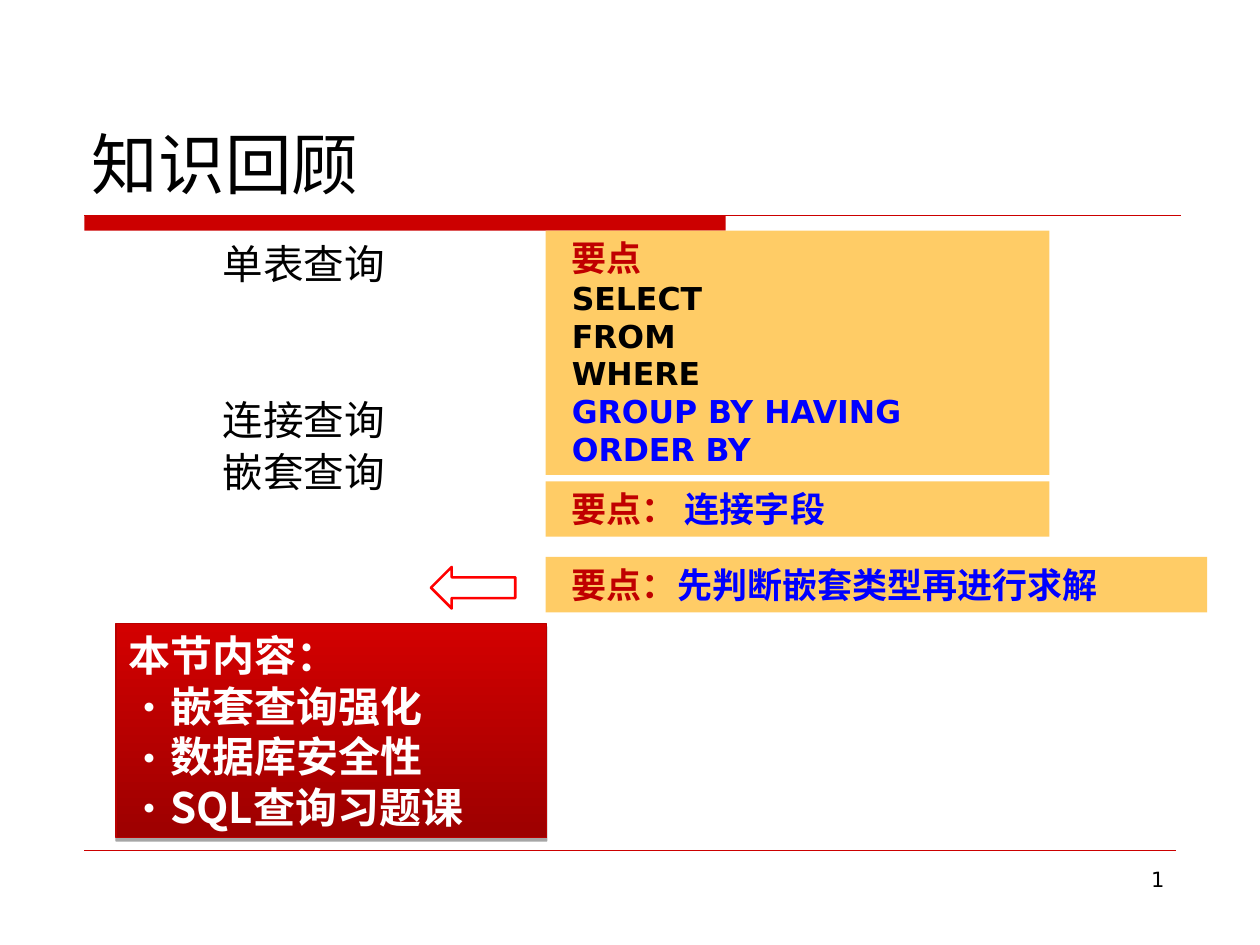
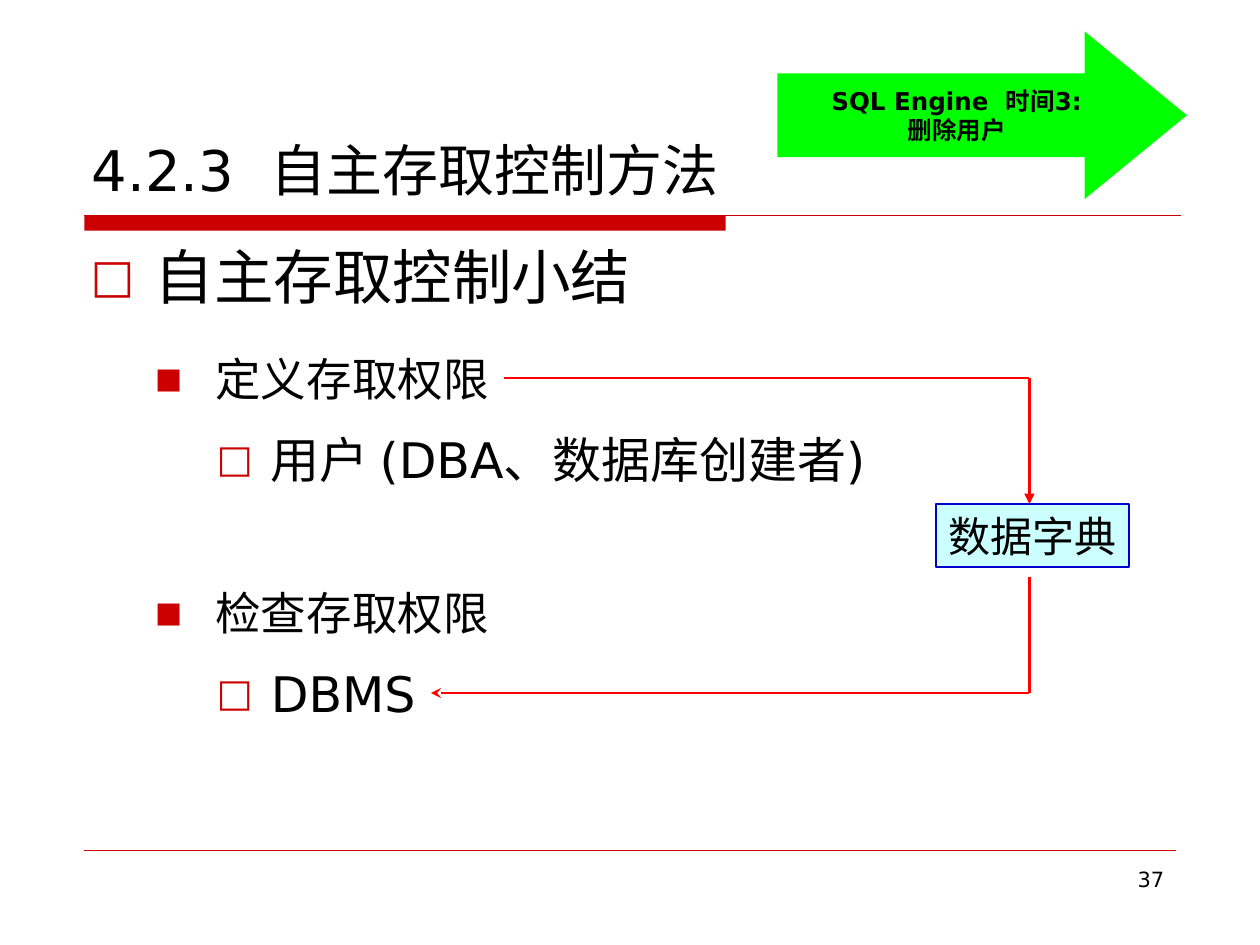
from dataclasses import dataclass
from typing import Optional

from lxml.etree import SubElement
from pptx import Presentation
from pptx.dml.color import RGBColor
from pptx.enum.shapes import MSO_CONNECTOR, MSO_SHAPE
from pptx.enum.text import MSO_ANCHOR, MSO_AUTO_SIZE, PP_ALIGN
from pptx.oxml.ns import qn
from pptx.util import Inches, Pt

SANS, HAN = "DejaVu Sans", "Noto Sans CJK SC"
RED, DARK, PURE = "CC0000", "C00000", "FF0000"
BLACK, WHITE, BLUE, SAND = "000000", "FFFFFF", "0000FF", "FFCC66"


@dataclass
class Bullet:
    char: str
    color: str
    size: int = 100
    font: str = SANS


@dataclass
class Para:
    text: str
    size: float
    font: str = SANS
    color: str = BLACK
    bold: bool = False
    extra: str = ""
    align: PP_ALIGN = PP_ALIGN.LEFT
    left: float = 0
    first: float = 0
    lines: float = 1
    before: float = 0
    level: int = 0
    bullet: Optional[Bullet] = None


@dataclass
class Box:
    left: float
    top: float
    width: float
    height: float

    def place(self) -> tuple:
        return tuple(map(Inches, (self.left, self.top, self.width, self.height)))


def rgb(color: str) -> RGBColor:
    return RGBColor.from_string(color)


def add_bullet(props, bullet: Optional[Bullet]) -> None:
    if bullet is None:
        SubElement(props, qn("a:buNone"))
        return
    tint = SubElement(props, qn("a:buClr"))
    SubElement(tint, qn("a:srgbClr"), val=bullet.color)
    SubElement(props, qn("a:buSzPct"), val=str(bullet.size * 1000))
    SubElement(props, qn("a:buFont"), typeface=bullet.font)
    SubElement(props, qn("a:buChar"), char=bullet.char)


def write(shape, paras: list[Para], anchor=MSO_ANCHOR.TOP, wrap: bool = True) -> None:
    frame = shape.text_frame
    frame.auto_size = MSO_AUTO_SIZE.NONE
    frame.word_wrap = wrap
    frame.vertical_anchor = anchor
    for index, item in enumerate(paras):
        para = frame.add_paragraph() if index else frame.paragraphs[0]
        para.level = item.level
        para.alignment = item.align
        para.line_spacing = item.lines
        para.space_before = Pt(item.before)
        props = para._p.get_or_add_pPr()
        props.set("marL", str(Inches(item.left)))
        props.set("indent", str(Inches(item.first)))
        add_bullet(props, item.bullet)
        font = para.font
        font.size, font.name, font.bold = Pt(item.size), item.font, item.bold
        font.color.rgb = rgb(item.color)
        if item.font == HAN:
            SubElement(props.find(qn("a:defRPr")), qn("a:ea"), typeface=HAN)
        para.add_run().text = item.text
        if item.extra:
            run = para.add_run()
            run.text = item.extra
            run.font.color.rgb = rgb(BLUE)


def add_box(slide, kind, box: Box, fill: str = "", line: str = "", width: float = 1.5):
    shape = slide.shapes.add_shape(kind, *box.place())
    shape.shadow.inherit = False
    if fill:
        shape.fill.solid()
        shape.fill.fore_color.rgb = rgb(fill)
    else:
        shape.fill.background()
    if line:
        shape.line.color.rgb = rgb(line)
        shape.line.width = Pt(width)
    else:
        shape.line.fill.background()
    return shape


def add_line(slide, start: tuple, end: tuple, color: str, width: float, tip: str = "") -> None:
    line = slide.shapes.add_connector(MSO_CONNECTOR.STRAIGHT, *map(Inches, start + end))
    line.line.color.rgb = rgb(color)
    line.line.width = Pt(width)
    props = line._element.spPr
    if tip:
        SubElement(props.find(qn("a:ln")), qn("a:tailEnd"), type=tip)
    SubElement(props, qn("a:effectLst"))


def add_text(slide, box: Box, paras: list[Para]) -> None:
    write(slide.shapes.add_textbox(*box.place()), paras)


def move(shape, box: Box) -> None:
    shape.left, shape.top, shape.width, shape.height = box.place()


def start_slide(deck, layout: int, title: str, size: float, number: str):
    """Add a slide with its title, red band, foot rule and page number."""
    slide = deck.slides.add_slide(deck.slide_layouts[layout])
    add_box(slide, MSO_SHAPE.RECTANGLE, Box(0.67, 1.71, 5.09, 0.12), RED)
    add_line(slide, (0.67, 1.71), (9.37, 1.71), RED, 0.75)
    add_line(slide, (0.67, 6.75), (9.33, 6.75), RED, 0.25)
    move(slide.shapes.title, Box(0.63, 0.33, 8.75, 1.33))
    write(slide.shapes.title, [Para(title, size)], MSO_ANCHOR.BOTTOM)
    add_text(slide, Box(7.17, 6.83, 2.17, 0.52), [Para(number, 12, align=PP_ALIGN.RIGHT)])
    return slide


def key_para(text: str, size: float = 20, font: str = HAN, color: str = DARK, extra: str = "") -> Para:
    return Para(text, size, font, color, True, extra, left=0.63, first=-0.52)


def add_agenda(slide) -> None:
    card = add_box(slide, MSO_SHAPE.RECTANGLE, Box(0.92, 4.95, 3.42, 1.7), RED, "B90000", 0.75)
    card.fill.gradient()
    card.fill.gradient_angle = 90
    for stop, color in zip(card.fill.gradient_stops, ("9D0000", "D30000")):
        stop.color.rgb = rgb(color)
    effects = card._element.spPr.find(qn("a:effectLst"))
    shade = SubElement(effects, qn("a:outerShdw"), blurRad="0", dist=str(Pt(1.8)),
                       dir="5400000", rotWithShape="0")
    black = SubElement(shade, qn("a:srgbClr"), val=BLACK)
    SubElement(black, qn("a:alpha"), val="35000")
    dot = Bullet("•", WHITE, font=HAN)
    topics = ("嵌套查询强化", "数据库安全性", "SQL查询习题课")
    write(card, [Para("本节内容：", 24, HAN, WHITE, True)] + [
        Para(topic, 24, HAN, WHITE, True, left=0.24, first=-0.24, bullet=dot)
        for topic in topics])


def build_review(deck) -> None:
    slide = start_slide(deck, 5, "知识回顾", 38, "1")
    queries = (("单表查询", 0), ("连接查询", 67), ("嵌套查询", 7.5))
    add_text(slide, Box(1.67, 1.92, 2.13, 2.5), [
        Para(text, 23.2, HAN, align=PP_ALIGN.JUSTIFY, left=0.51, first=-0.51,
             lines=0.8, before=gap) for text, gap in queries])
    clauses = [key_para(word, 18, SANS, BLACK) for word in ("SELECT", "FROM", "WHERE")]
    clauses += [key_para(word, 18, SANS, BLUE) for word in ("GROUP BY HAVING", "ORDER BY")]
    notes = (
        (Box(4.33, 1.83, 4, 1.94), [key_para("要点"), *clauses]),
        (Box(4.33, 3.82, 4, 0.44), [key_para("要点： ", extra="连接字段")]),
        (Box(4.33, 4.42, 5.25, 0.44), [key_para("要点：", extra="先判断嵌套类型再进行求解")]),
    )
    for box, paras in notes:
        write(add_box(slide, MSO_SHAPE.RECTANGLE, box, SAND), paras)
    add_box(slide, MSO_SHAPE.LEFT_ARROW, Box(3.42, 4.5, 0.67, 0.33), line=PURE)
    add_agenda(slide)


def build_access(deck) -> None:
    slide = start_slide(deck, 1, "4.2.3  自主存取控制方法", 32, "37")
    body = slide.placeholders[1]
    move(body, Box(0.62, 1.92, 8.75, 4.08))
    hollow, solid = Bullet("□", RED, 78), Bullet("■", RED, 63)

    def topic(text: str, lines: float, before: float) -> Para:
        return Para(text, 26, left=0.99, first=-0.48, lines=lines, before=before,
                    level=1, bullet=solid)

    def detail(text: str) -> Para:
        return Para(text, 28, left=1.43, first=-0.43, lines=1.2, before=7,
                    level=2, bullet=hollow)

    write(body, [
        Para("自主存取控制小结", 34, left=0.51, first=-0.51, lines=0.9, bullet=hollow),
        topic("定义存取权限", 1.5, 6.5),
        detail("用户 (DBA、数据库创建者)"),
        topic("检查存取权限", 1.2, 49),
        detail("DBMS"),
    ])
    store = add_box(slide, MSO_SHAPE.RECTANGLE, Box(7.43, 4, 1.53, 0.5), "CCFFFF", "0000CC")
    write(store, [Para("数据字典", 24)], wrap=False)
    turn = 8.17
    for start, end, tip in (
        ((4, 3), (turn, 3), ""),
        ((turn, 3), (turn, 4), "triangle"),
        ((turn, 4.58), (turn, 5.5), ""),
        ((turn, 5.5), (3.42, 5.5), "stealth"),
    ):
        add_line(slide, start, end, PURE, 1.5, tip)
    arrow = add_box(slide, MSO_SHAPE.RIGHT_ARROW, Box(6.17, 0.25, 3.25, 1.33), "00FF00")
    arrow.adjustments[1] = 0.61
    write(arrow, [Para(text, 14, bold=True, align=PP_ALIGN.CENTER)
                  for text in ("SQL Engine  时间3:", "删除用户")], MSO_ANCHOR.MIDDLE, False)


def main() -> None:
    deck = Presentation()
    deck.slide_width, deck.slide_height = Inches(10), Inches(7.5)
    build_review(deck)
    build_access(deck)
    deck.save("out.pptx")


if __name__ == "__main__":
    main()
